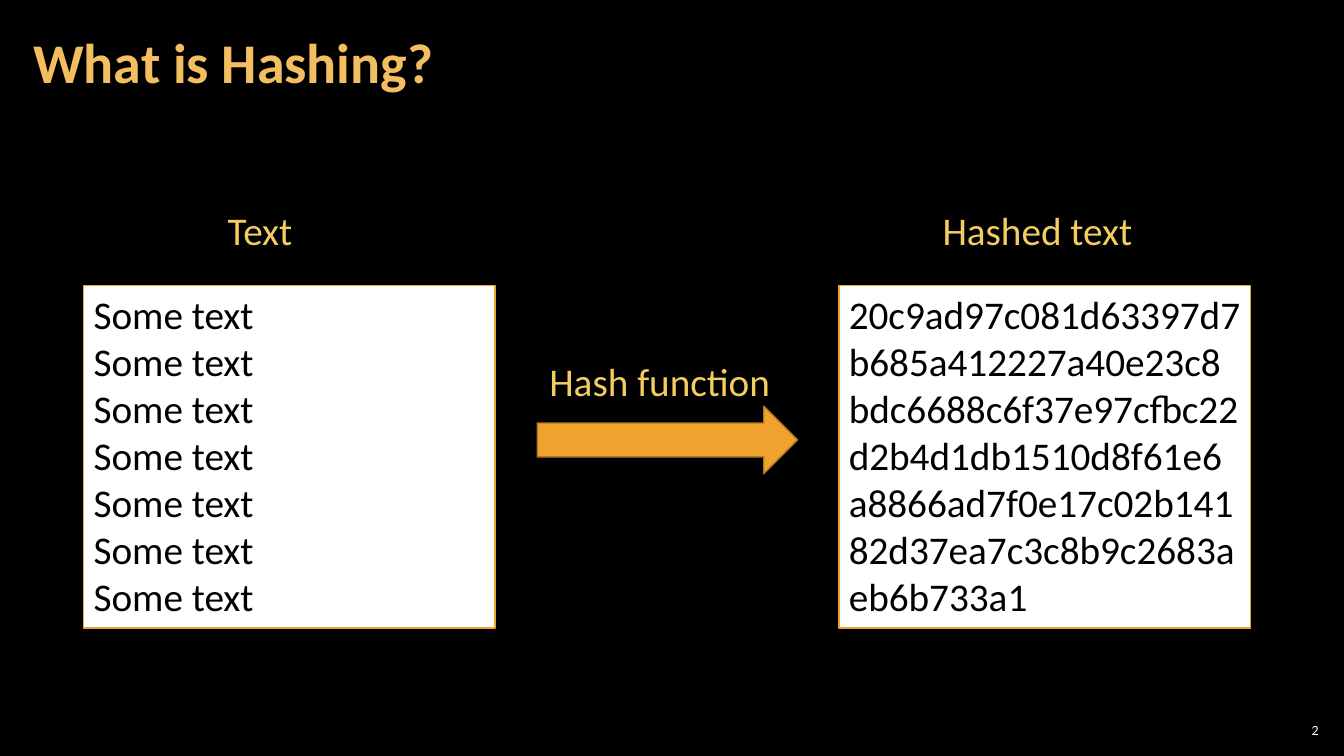
from dataclasses import dataclass

from pptx import Presentation
from pptx.dml.color import RGBColor
from pptx.enum.shapes import MSO_SHAPE
from pptx.enum.text import MSO_ANCHOR, PP_ALIGN
from pptx.util import Inches, Pt


@dataclass(frozen=True)
class Theme:
    font: str = "Calibri"
    background: str = "000000"
    title: str = "F3BE60"
    label: str = "F3CD60"
    accent: str = "F0A22E"
    arrow_line: str = "B27822"
    panel: str = "FFFFFF"
    panel_text: str = "000000"
    number: str = "FFFFFF"
    title_size: int = 40
    body_size: int = 28
    number_size: int = 10


theme = Theme()


def write(shape, text, size, color, align=PP_ALIGN.LEFT, bold=False):
    shape.text_frame.text = text
    for paragraph in shape.text_frame.paragraphs:
        paragraph.alignment = align
        for run in paragraph.runs:
            run.font.name = theme.font
            run.font.size = Pt(size)
            run.font.bold = bold
            run.font.color.rgb = RGBColor.from_string(color)


def paint(shape, fill, line):
    shape.shadow.inherit = False
    shape.fill.solid()
    shape.fill.fore_color.rgb = RGBColor.from_string(fill)
    shape.line.color.rgb = RGBColor.from_string(line)
    shape.line.width = Pt(1)


presentation = Presentation()
presentation.slide_width = Inches(13.33)
presentation.slide_height = Inches(7.5)
slide = presentation.slides.add_slide(presentation.slide_layouts[5])
slide.background.fill.solid()
slide.background.fill.fore_color.rgb = RGBColor.from_string(theme.background)

# Title
title = slide.shapes.title
title.left, title.top = Inches(0.21), Inches(0.04)
title.width, title.height = Inches(10.47), Inches(1.21)
write(title, "What is Hashing?", theme.title_size, theme.title, bold=True)
title_frame = title.text_frame
title_frame.vertical_anchor = MSO_ANCHOR.MIDDLE
title_frame.margin_left = title_frame.margin_right = Inches(0.12)
title_frame.margin_top = title_frame.margin_bottom = Inches(0.04)
title_frame.paragraphs[0].line_spacing = 0.9

# Input and output panels
hashed_text = (
    "20c9ad97c081d63397d7b685a412227a40e23c8bdc6688c6f37e97cfbc22"
    "d2b4d1db1510d8f61e6a8866ad7f0e17c02b14182d37ea7c3c8b9c2683aeb6b733a1"
)
for left, text in [(0.83, "\n".join(["Some text"] * 7)), (8.32, hashed_text)]:
    panel = slide.shapes.add_shape(
        MSO_SHAPE.RECTANGLE, Inches(left), Inches(2.83), Inches(4.08), Inches(3.4)
    )
    paint(panel, theme.panel, theme.accent)
    write(panel, text, theme.body_size, theme.panel_text)
    panel.text_frame.word_wrap = True
    panel.text_frame.vertical_anchor = MSO_ANCHOR.TOP

# Arrow between the panels, grouped with its label
hash_step = slide.shapes.add_group_shape()
arrow = hash_step.shapes.add_shape(
    MSO_SHAPE.RIGHT_ARROW, Inches(5.33), Inches(4.03), Inches(2.58), Inches(0.67)
)
paint(arrow, theme.accent, theme.arrow_line)

# Labels
for shapes, text, left, top, width in [
    (slide.shapes, "Text", 2.16, 2, 0.94),
    (slide.shapes, "Hashed text", 9.25, 2, 2.13),
    (hash_step.shapes, "Hash function", 5.35, 3.5, 2.48),
]:
    label = shapes.add_textbox(Inches(left), Inches(top), Inches(width), Inches(0.57))
    write(label, text, theme.body_size, theme.label)
    label.text_frame.word_wrap = False

# Slide number
number = slide.shapes.add_textbox(Inches(12.65), Inches(7.14), Inches(0.47), Inches(0.21))
write(number, "2", theme.number_size, theme.number, PP_ALIGN.RIGHT)
number_frame = number.text_frame
number_frame.word_wrap = True
number_frame.vertical_anchor = MSO_ANCHOR.MIDDLE
number_frame.margin_left = number_frame.margin_right = Inches(0.04)
number_frame.margin_top = number_frame.margin_bottom = Inches(0.04)

presentation.save("out.pptx")
